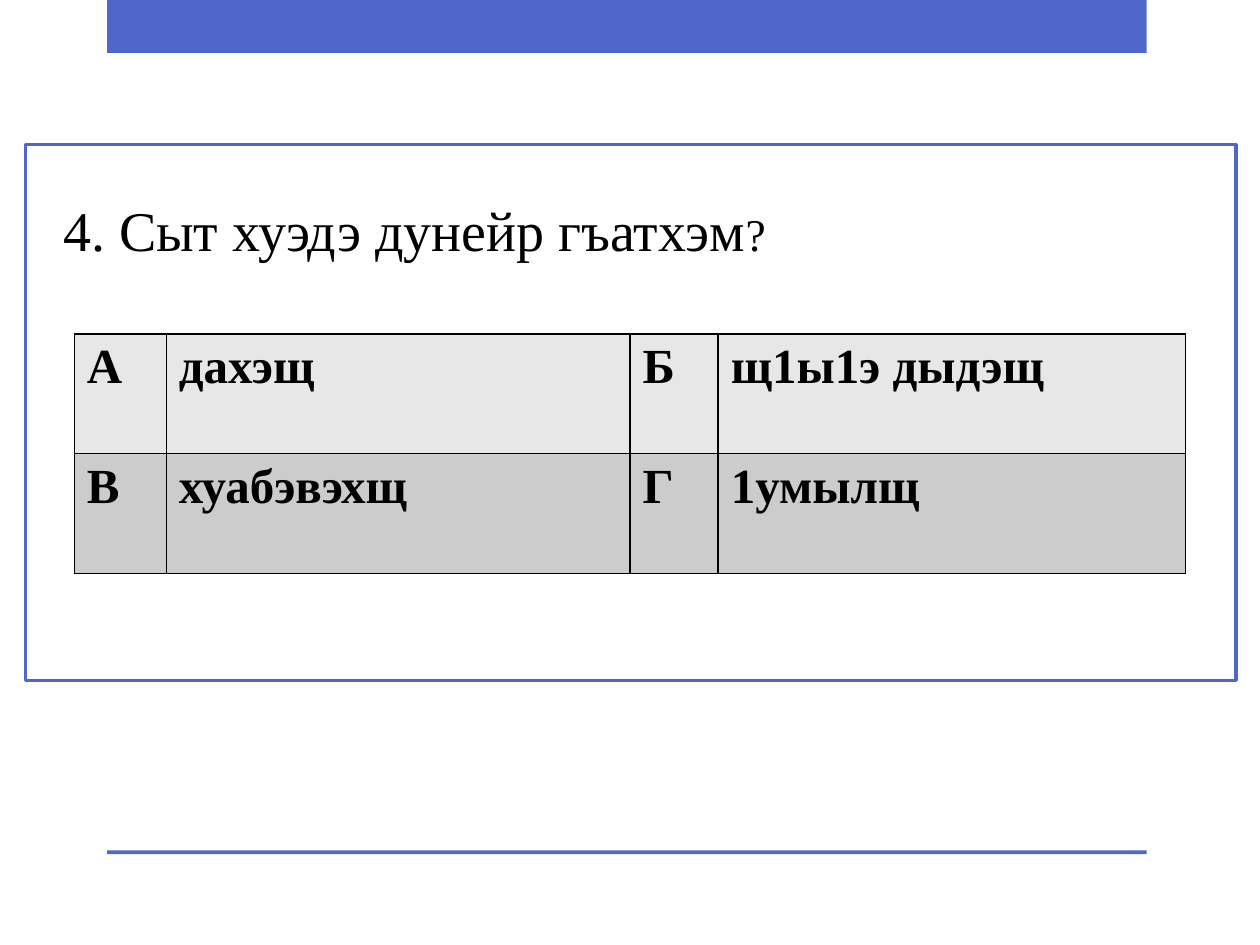
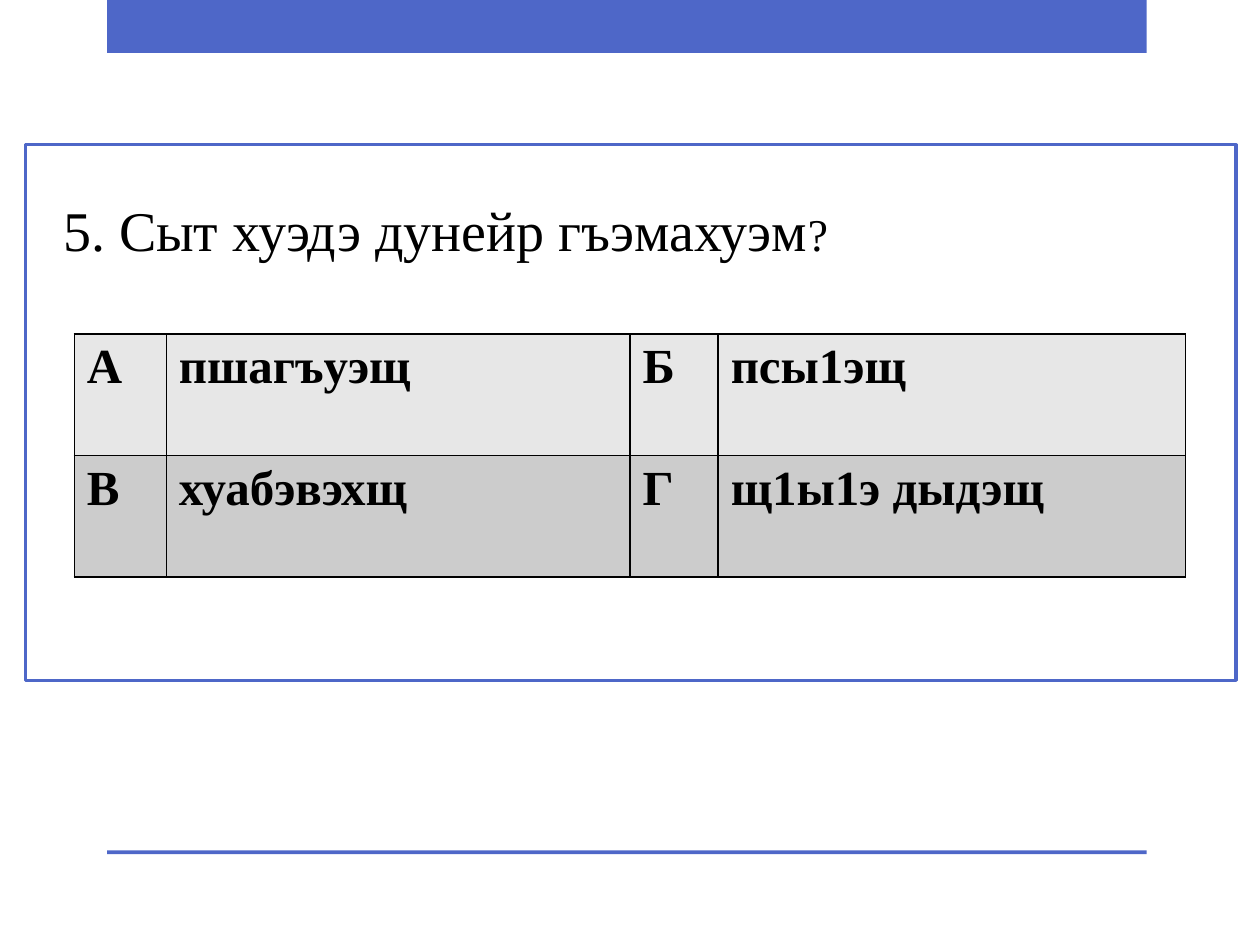
from dataclasses import dataclass
from typing import NamedTuple

from lxml import etree
from pptx import Presentation
from pptx.dml.color import RGBColor
from pptx.enum.shapes import MSO_SHAPE
from pptx.enum.text import MSO_ANCHOR, MSO_AUTO_SIZE, PP_ALIGN
from pptx.oxml.ns import qn
from pptx.util import Inches, Pt

RECTANGLE = MSO_SHAPE.RECTANGLE
TOP = MSO_ANCHOR.TOP
NO_AUTOFIT = MSO_AUTO_SIZE.NONE
LEFT = PP_ALIGN.LEFT

SLIDE_WIDTH = Inches(10)
SLIDE_HEIGHT = Inches(7.5)
GRID_COLUMNS = 100
GRID_ROWS = 75
TITLE_ONLY = 5
FONT = "Times New Roman"
COLORS = {
    "accent": "4E67C8",
    "paper": "FFFFFF",
    "ink": "000000",
    "light_row": "E7E7E7",
    "dark_row": "CCCCCC",
}


class Region(NamedTuple):
    column: float
    row: float
    columns: float
    rows: float


@dataclass(frozen=True)
class Question:
    text: str
    answers: tuple[str, str, str, str]
    row_height: float


BANDS = (Region(8.5, 0, 82.5, 4.2), Region(8.5, 67.5, 82.5, 0.3))
FRAME = Region(2, 11.5, 96.1, 42.5)
TABLE_CORNER = (5.9, 26.5)
TABLE_COLUMNS = (7.3, 36.8, 7, 37.1)
ROW_FILLS = ("light_row", "dark_row")
LETTERS = ("А", "Б", "В", "Г")
QUESTIONS = (
    Question(
        "4. Сыт хуэдэ дунейр гъатхэм",
        ("дахэщ", "щ1ы1э дыдэщ", "хуабэвэхщ", "1умылщ"),
        9.5,
    ),
    Question(
        "5. Сыт хуэдэ дунейр гъэмахуэм",
        ("пшагъуэщ", "псы1эщ", "хуабэвэхщ", "щ1ы1э дыдэщ"),
        9.65,
    ),
)


def color(name: str) -> RGBColor:
    return RGBColor.from_string(COLORS[name])


def across(columns: float) -> int:
    return round(SLIDE_WIDTH * columns / GRID_COLUMNS)


def down(rows: float) -> int:
    return round(SLIDE_HEIGHT * rows / GRID_ROWS)


def place(region: Region) -> tuple[int, int, int, int]:
    return (across(region.column), down(region.row),
            across(region.columns), down(region.rows))


def style_font(font, size: float, bold: bool = False) -> None:
    font.name = FONT
    font.size = Pt(size)
    font.bold = bold
    font.color.rgb = color("ink")


def add_band(slide, region: Region) -> None:
    band = slide.shapes.add_shape(RECTANGLE, *place(region))
    band.shadow.inherit = False
    band.fill.solid()
    band.fill.fore_color.rgb = color("accent")
    band.line.fill.background()


def format_title(slide, text: str) -> None:
    title = slide.shapes.title
    title.left, title.top, title.width, title.height = place(FRAME)
    title.fill.solid()
    title.fill.fore_color.rgb = color("paper")
    title.line.color.rgb = color("accent")
    title.line.width = Pt(1.75)
    frame = title.text_frame
    frame.word_wrap = True
    frame.auto_size = NO_AUTOFIT
    frame.vertical_anchor = TOP
    frame.margin_left = across(3)
    frame.margin_top = down(4)
    para = frame.paragraphs[0]
    para.alignment = LEFT
    style_font(para.font, 32)
    para.add_run().text = text
    mark = para.add_run()
    mark.text = "?"
    mark.font.size = Pt(26)


def add_borders(cell) -> None:
    properties = cell._tc.get_or_add_tcPr()
    for side in ("a:lnL", "a:lnR", "a:lnT", "a:lnB"):
        line = etree.SubElement(properties, qn(side), w=str(Pt(1)))
        fill = etree.SubElement(line, qn("a:solidFill"))
        etree.SubElement(fill, qn("a:srgbClr"), val=COLORS["ink"])


def fill_cell(cell, text: str, fill: str) -> None:
    add_borders(cell)
    cell.fill.solid()
    cell.fill.fore_color.rgb = color(fill)
    cell.text = text
    style_font(cell.text_frame.paragraphs[0].font, 28, bold=True)


def add_answers(slide, question: Question) -> None:
    region = Region(*TABLE_CORNER, sum(TABLE_COLUMNS),
                    question.row_height * len(ROW_FILLS))
    table = slide.shapes.add_table(
        len(ROW_FILLS), len(TABLE_COLUMNS), *place(region)).table
    for column, width in zip(table.columns, TABLE_COLUMNS):
        column.width = across(width)
    for index, (letter, answer) in enumerate(zip(LETTERS, question.answers)):
        row, pair = divmod(index, 2)
        for offset, text in enumerate((letter, answer)):
            fill_cell(table.cell(row, 2 * pair + offset), text, ROW_FILLS[row])


def add_question(deck, question: Question) -> None:
    slide = deck.slides.add_slide(deck.slide_layouts[TITLE_ONLY])
    for band in BANDS:
        add_band(slide, band)
    format_title(slide, question.text)
    add_answers(slide, question)


def main() -> None:
    deck = Presentation()
    deck.slide_width = SLIDE_WIDTH
    deck.slide_height = SLIDE_HEIGHT
    for question in QUESTIONS:
        add_question(deck, question)
    deck.save("out.pptx")


if __name__ == "__main__":
    main()
